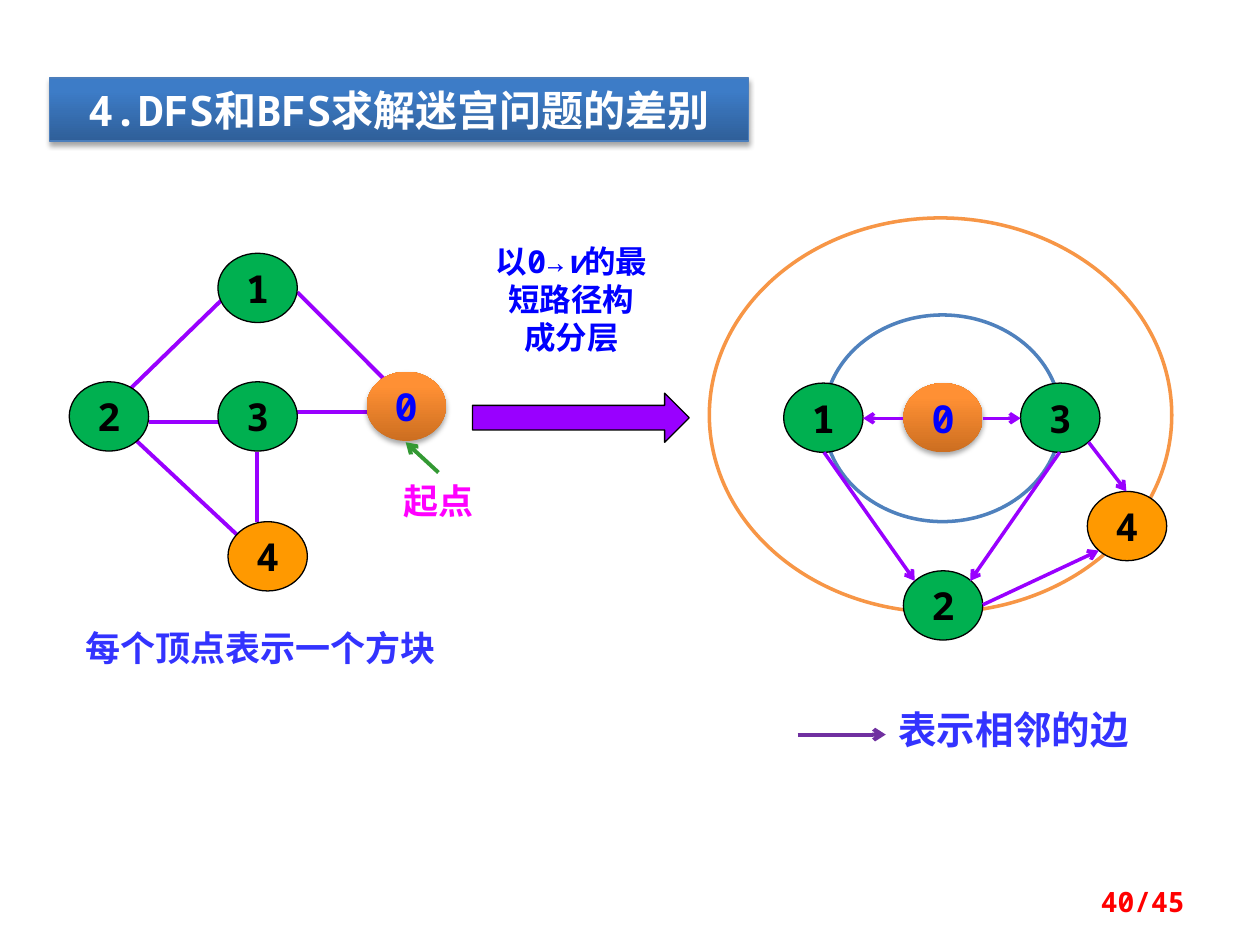
from lxml import etree
from pptx import Presentation, util as u
from pptx.dml.color import RGBColor
from pptx.enum import shapes, text
from pptx.oxml.ns import qn

WHITE = RGBColor(0xFF, 0xFF, 0xFF)
BLACK = RGBColor(0x00, 0x00, 0x00)
GREEN = RGBColor(0x00, 0xB0, 0x50)
AMBER = RGBColor(0xFF, 0x99, 0x00)
VIOLET = RGBColor(0x99, 0x00, 0xFF)
PURPLE = RGBColor(0x70, 0x30, 0xA0)
LEAF = RGBColor(0x33, 0x99, 0x33)
BLUE = RGBColor(0x00, 0x00, 0xFF)
INDIGO = RGBColor(0x33, 0x33, 0xFF)
MAGENTA = RGBColor(0xFF, 0x00, 0xFF)
RED = RGBColor(0xFF, 0x00, 0x00)
RING_ORANGE = RGBColor(0xF7, 0x96, 0x46)
RING_BLUE = RGBColor(0x4F, 0x81, 0xBD)
BANNER_LINE = RGBColor(0x4B, 0x7E, 0xBC)
BANNER = (RGBColor(0x2F, 0x5F, 0x99), RGBColor(0x3D, 0x7C, 0xC7))
START = (RGBColor(0xCC, 0x6E, 0x20), RGBColor(0xFF, 0x90, 0x34))
MONO, CJK = "Noto Sans Mono", "Noto Sans CJK SC"
CENTER, LEFT, RIGHT = text.PP_ALIGN.CENTER, text.PP_ALIGN.LEFT, text.PP_ALIGN.RIGHT
NODE_W, NODE_H = 6.3, 5.5

presentation = Presentation()
presentation.slide_width, presentation.slide_height = u.Inches(10), u.Inches(7.5)
column, row = presentation.slide_width / 100, presentation.slide_height / 75
slide = presentation.slides.add_slide(presentation.slide_layouts[6])


def write(shape, runs, size, color, font, align=CENTER, wrap=True):
    frame = shape.text_frame
    frame.word_wrap = wrap
    frame.vertical_anchor = text.MSO_ANCHOR.MIDDLE
    paragraph = frame.paragraphs[0]
    paragraph.alignment = align
    for content, italic in runs:
        run = paragraph.add_run()
        run.text = content
        run.font.size, run.font.name = u.Pt(size), font
        run.font.bold, run.font.italic = True, italic
        run.font.color.rgb = color
        etree.SubElement(run.font._element, qn("a:ea"), typeface=CJK)
    return paragraph


def connect(ends, color, width, arrow=True):
    x1, y1, x2, y2 = ends
    line = slide.shapes.add_connector(
        shapes.MSO_CONNECTOR.STRAIGHT,
        round(x1 * column), round(y1 * row), round(x2 * column), round(y2 * row))
    line.line.color.rgb, line.line.width = color, u.Pt(width)
    if arrow:
        etree.SubElement(line.line._get_or_add_ln(), qn("a:tailEnd"), type="arrow")
    etree.SubElement(line._element.spPr, qn("a:effectLst"))


for ends in [(23.6, 23.2, 30.7, 30.3), (10.1, 34.3, 19.3, 42.9), (17.6, 23.8, 10.4, 30.8),
             (11.8, 33.5, 18.1, 33.5), (20.4, 35.9, 20.4, 41.4), (23.6, 32.7, 29.9, 32.7)]:
    connect(ends, VIOLET, 2.25, arrow=False)

rect, oval = shapes.MSO_SHAPE.RECTANGLE, shapes.MSO_SHAPE.OVAL
blocks = [
    (rect, 3.9, 6.2, 55.5, 5, BANNER, BANNER_LINE, 0.75, "4.DFS和BFS求解迷宫问题的差别", 24, WHITE),
    (oval, 56.3, 17.3, 36.7, 31.3, WHITE, RING_ORANGE, 2, "", 0, BLACK),
    (oval, 65.4, 25, 18.8, 16.4, WHITE, RING_BLUE, 2, "", 0, BLACK),
    (shapes.MSO_SHAPE.RIGHT_ARROW, 37.5, 31.2, 17.2, 3.9, VIOLET, BLACK, 0.75, "", 0, BLACK),
]
for label, left, top, fill in [
    ("1", 17.3, 20.1, GREEN), ("3", 17.3, 30.3, GREEN), ("2", 5.5, 30.3, GREEN),
    ("4", 18.1, 41.4, AMBER), ("0", 29.1, 29.5, START),
    ("0", 71.7, 30.4, START), ("1", 62.2, 30.4, GREEN), ("3", 81, 30.4, GREEN),
    ("2", 71.7, 45.3, GREEN), ("4", 86.3, 39, AMBER),
]:
    outline, color = (None, BLUE) if fill is START else (BLACK, BLACK)
    blocks.append((oval, left, top, NODE_W, NODE_H, fill, outline, 0.75, label, 22, color))

for kind, left, top, width, height, fill, outline, weight, label, size, color in blocks:
    shape = slide.shapes.add_shape(
        kind, round(left * column), round(top * row), round(width * column), round(height * row))
    shape.shadow.inherit = False
    if isinstance(fill, RGBColor):
        shape.fill.solid()
        shape.fill.fore_color.rgb = fill
    else:
        shape.fill.gradient()
        shape.fill.gradient_angle = 90
        for stop, shade, position in zip(shape.fill.gradient_stops, fill, (0, 0.8)):
            stop.color.rgb, stop.position = shade, position
        effects = shape._element.spPr.find(qn("a:effectLst"))
        shadow = etree.SubElement(effects, qn("a:outerShdw"), blurRad=str(int(u.Pt(3.1))),
                                  dist=str(int(u.Pt(1.8))), dir="5400000", rotWithShape="0")
        tint = etree.SubElement(shadow, qn("a:srgbClr"), val=str(BLACK))
        etree.SubElement(tint, qn("a:alpha"), val="35000")
    if outline is None:
        shape.line.fill.background()
    else:
        shape.line.color.rgb, shape.line.width = outline, u.Pt(weight)
    if label:
        write(shape, [(label, False)], size, color, MONO, wrap=False)

for ends in [(78, 33.2, 81, 33.2), (71.7, 33.2, 68.5, 33.2), (65.4, 35.9, 72.6, 46.1),
             (84.1, 35.9, 77, 46.1), (86.4, 35.1, 89.4, 39), (78, 48, 87.2, 43.7)]:
    connect(ends, VIOLET, 2)
connect((34.8, 37.5, 32.2, 35.1), LEAF, 2.25)
connect((63.3, 58.3, 70.3, 58.3), PURPLE, 2.25)

layering = [("以0→", False), ("v", True), ("的最短路径构成分层", False)]
for left, top, width, height, runs, size, color, font, align in [
    (38.3, 18.7, 14.1, 10.1, layering, 18, BLUE, MONO, CENTER),
    (4.7, 49.2, 32, 4.4, [("每个顶点表示一个方块", False)], 20, INDIGO, CJK, CENTER),
    (29.7, 37.5, 10.2, 4.4, [("起点", False)], 20, MAGENTA, CJK, CENTER),
    (70.3, 55.5, 21.9, 4.7, [("表示相邻的边", False)], 22, INDIGO, CJK, LEFT),
    (71.7, 69.5, 23.3, 4, [("40/45", False)], 16, RED, MONO, RIGHT),
]:
    box = slide.shapes.add_textbox(
        round(left * column), round(top * row), round(width * column), round(height * row))
    paragraph = write(box, runs, size, color, font, align)
    if runs is layering:
        paragraph.line_spacing = u.Pt(21.7)

presentation.save("out.pptx")
